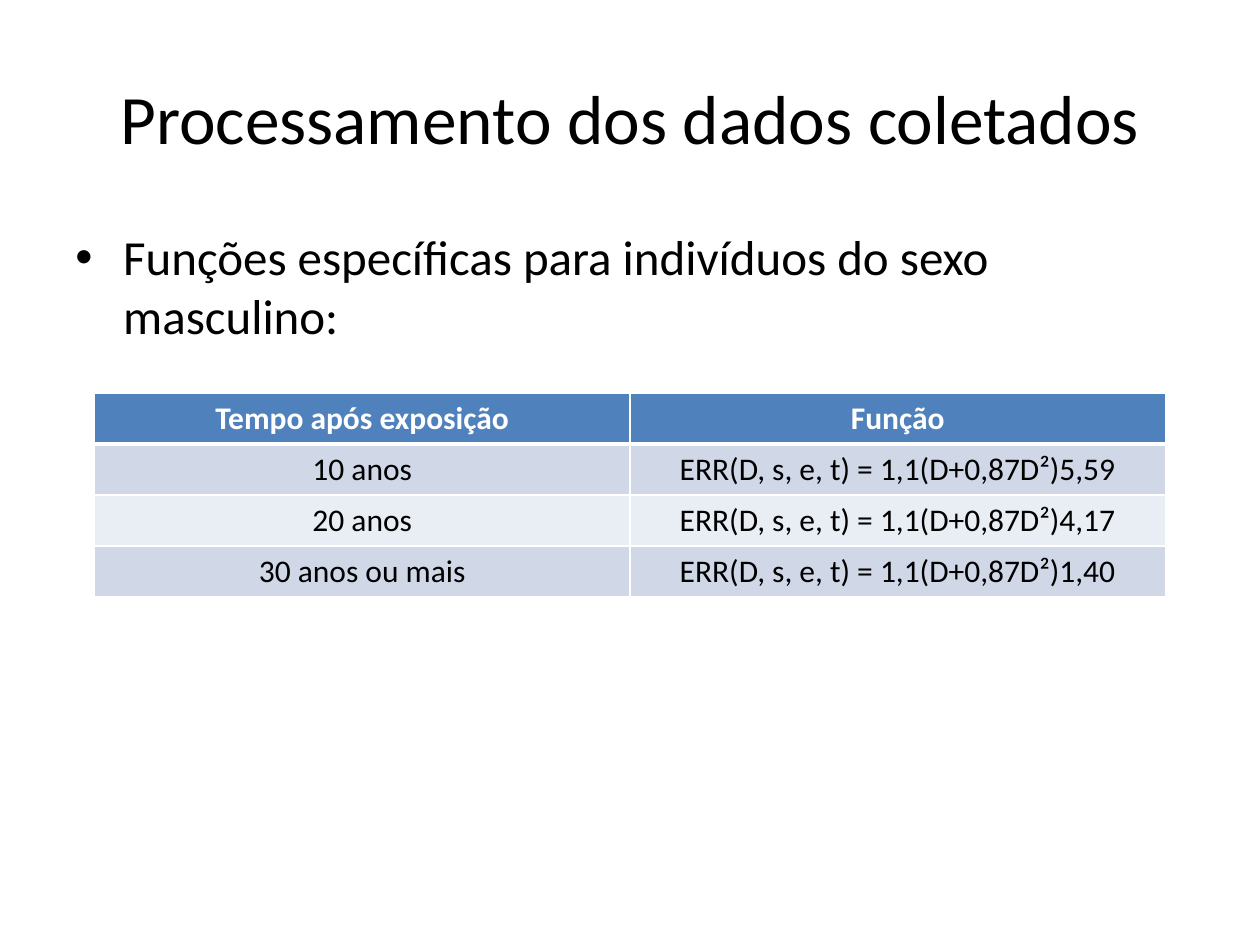
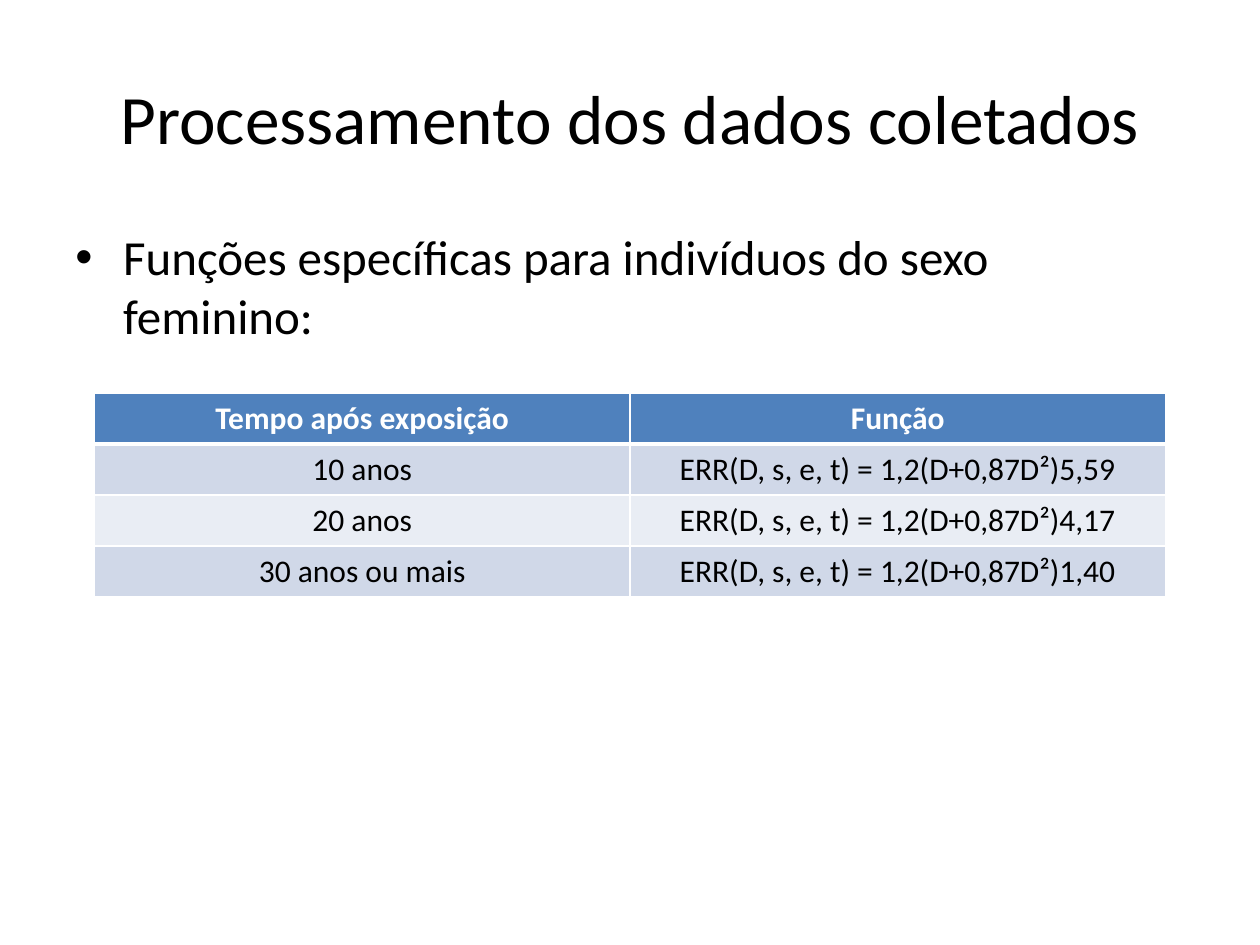
from dataclasses import dataclass

from lxml.etree import SubElement
from pptx import Presentation
from pptx.dml.color import RGBColor
from pptx.enum.text import MSO_ANCHOR as Anchor, PP_ALIGN as Align
from pptx.oxml.ns import qn
from pptx.util import Inches, Pt


@dataclass(frozen=True)
class Theme:
    """Colours, font and type sizes shared by the slides."""
    font: str = "Calibri"
    ink: str = "000000"
    paper: str = "FFFFFF"
    header: str = "4F81BD"
    bands: tuple = ("D0D8E8", "E9EDF4")
    title_size: float = 39.6
    body_size: float = 28
    table_size: float = 18
    rule: float = 1
    header_rule: float = 3


THEME = Theme()
TITLE_BOX = (0.5, 0.3, 9, 1.25)
BODY_BOX = (0.5, 1.75, 9, 4.95)
TABLE_BOX = (0.75, 3.12, 8.5, 1.62)
TITLE = "Processamento dos dados coletados"
HEADINGS = ("Tempo após exposição", "Função")
TIME_FACTORS = (("10 anos", "5,59"), ("20 anos", "4,17"), ("30 anos ou mais", "1,40"))
SEX_COEFFICIENTS = (("masculino", "1,1"), ("feminino", "1,2"))


def write(frame, text, size, color=THEME.ink, bold=False, align=Align.LEFT):
    """Put one styled paragraph in a text frame and return it."""
    paragraph = frame.paragraphs[0]
    paragraph.alignment = align
    run = paragraph.add_run()
    run.text = text
    style = {"name": THEME.font, "size": Pt(size), "bold": bold}
    for attribute, value in style.items():
        setattr(run.font, attribute, value)
    run.font.color.rgb = RGBColor.from_string(color)
    return paragraph


def add_frame(slide, box, anchor):
    """Add a wrapping text box and return its frame."""
    frame = slide.shapes.add_textbox(*map(Inches, box)).text_frame
    frame.word_wrap = True
    frame.vertical_anchor = anchor
    return frame


def add_title(slide, box):
    """Write the centred slide title."""
    write(add_frame(slide, box, Anchor.MIDDLE), TITLE, THEME.title_size, align=Align.CENTER)


def add_bullet(slide, box, text):
    """Write the introduction as a bullet with a hanging indent."""
    paragraph = write(add_frame(slide, box, Anchor.TOP), text, THEME.body_size)
    paragraph.space_before = Pt(THEME.body_size * 0.2)
    properties = paragraph._p.get_or_add_pPr()
    indent = Inches(0.38)
    properties.set("marL", str(indent))
    properties.set("indent", str(-indent))
    SubElement(properties, qn("a:buFont"), typeface="Arial")
    SubElement(properties, qn("a:buChar"), char="•")


def add_borders(cell, top, bottom):
    """Rule all four sides of a cell, with its own top and bottom widths."""
    properties = cell._tc.get_or_add_tcPr()
    widths = {"lnL": THEME.rule, "lnR": THEME.rule, "lnT": top, "lnB": bottom}
    for side, width in widths.items():
        line = SubElement(properties, qn(f"a:{side}"), w=str(Pt(width)))
        fill = SubElement(line, qn("a:solidFill"))
        SubElement(fill, qn("a:srgbClr"), val=THEME.paper)


def add_function_table(slide, box, coefficient):
    """Tabulate the risk function for each time after exposure."""
    rows = [HEADINGS] + [
        (time, f"ERR(D, s, e, t) = {coefficient}(D+0,87D²){factor}")
        for time, factor in TIME_FACTORS
    ]
    table = slide.shapes.add_table(len(rows), len(HEADINGS), *map(Inches, box)).table
    for row_index, texts in enumerate(rows):
        is_header = row_index == 0
        fill = THEME.header if is_header else THEME.bands[(row_index - 1) % 2]
        color = THEME.paper if is_header else THEME.ink
        top = THEME.header_rule if row_index == 1 else THEME.rule
        bottom = THEME.header_rule if is_header else THEME.rule
        for column_index, text in enumerate(texts):
            cell = table.cell(row_index, column_index)
            cell.vertical_anchor = Anchor.MIDDLE
            write(cell.text_frame, text, THEME.table_size, color, is_header, Align.CENTER)
            add_borders(cell, top, bottom)
            cell.fill.solid()
            cell.fill.fore_color.rgb = RGBColor.from_string(fill)


def add_function_slide(deck, sex, coefficient):
    """Build the slide with the functions for one sex."""
    slide = deck.slides.add_slide(deck.slide_layouts[6])
    add_title(slide, TITLE_BOX)
    add_bullet(slide, BODY_BOX, f"Funções específicas para indivíduos do sexo {sex}:")
    add_function_table(slide, TABLE_BOX, coefficient)


def main():
    """Build and save the presentation."""
    deck = Presentation()
    deck.slide_width, deck.slide_height = Inches(10), Inches(7.5)
    for sex, coefficient in SEX_COEFFICIENTS:
        add_function_slide(deck, sex, coefficient)
    deck.save("out.pptx")


main()
